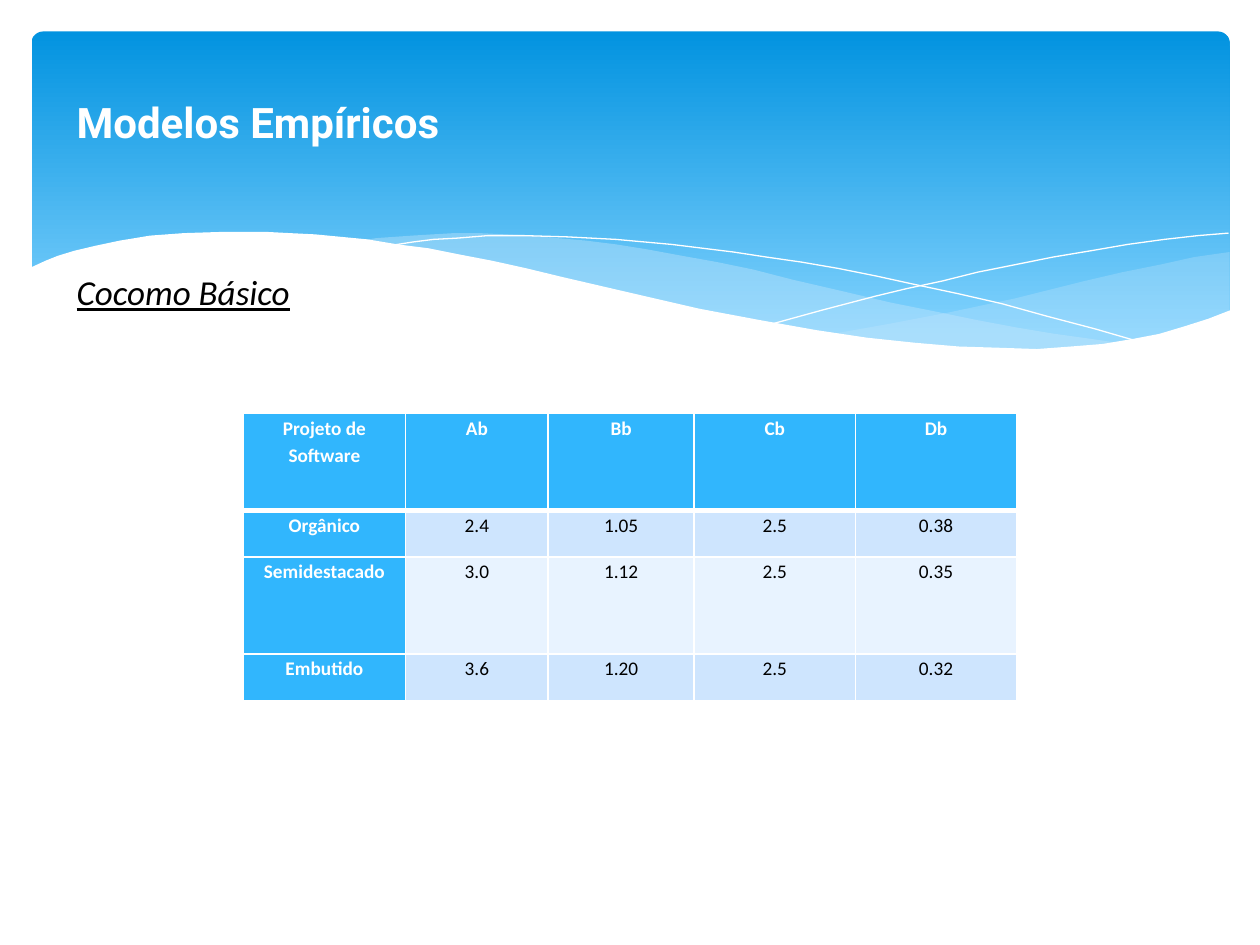
import pptx
import pptx.dml.color
import pptx.enum.shapes
import pptx.enum.text
import pptx.oxml.ns
import pptx.util
from lxml import etree
from pptx.util import Inches, Pt

WHITE, BLACK, SKY = "FFFFFF", "000000", "31B6FD"
PALE, PALER, MIST = "CEE5FE", "E8F3FF", "C6E7FC"

RIGHT_SWELL = [
    (9.76, 2), (9.48, 2.04), (9.21, 2.1), (8.91, 2.16), (8.61, 2.23), (8.05, 2.37),
    (7.53, 2.48), (7.06, 2.57), (6.61, 2.65), (6.91, 2.69), (7.19, 2.72), (7.45, 2.75),
    (7.69, 2.77), (8.03, 2.78), (8.35, 2.77), (8.63, 2.75), (8.89, 2.72), (9.13, 2.67),
    (9.35, 2.62), (9.49, 2.57), (9.63, 2.52), (9.76, 2.47)]
LONG_SWELL = [
    (8.93, 2.73), (8.66, 2.69), (8.37, 2.65), (8.07, 2.6), (7.75, 2.54), (7.41, 2.47),
    (7.06, 2.4), (6.68, 2.31), (6.29, 2.22), (5.98, 2.14), (5.69, 2.08), (5.41, 2.03),
    (5.14, 1.98), (4.89, 1.94), (4.65, 1.91), (4.42, 1.89), (4.2, 1.87), (3.8, 1.85),
    (3.61, 1.85), (3.28, 1.87), (2.99, 1.89), (2.86, 1.91), (3.23, 1.96), (3.62, 2.03),
    (4.04, 2.11), (4.49, 2.22), (4.91, 2.32), (5.3, 2.4), (5.66, 2.48), (6.01, 2.55),
    (6.34, 2.61), (6.65, 2.66), (6.95, 2.7), (7.22, 2.74), (7.48, 2.76), (7.73, 2.77),
    (7.96, 2.78), (8.28, 2.78), (8.57, 2.77), (8.76, 2.75)]
FALLING_LINE = [
    (3.09, 1.95), (3.28, 1.92), (3.44, 1.9), (3.63, 1.89), (3.87, 1.87), (4.16, 1.87),
    (4.5, 1.88), (4.89, 1.9), (5.33, 1.94), (5.82, 2), (6.08, 2.04), (6.36, 2.08),
    (6.65, 2.13), (6.95, 2.19), (7.27, 2.26), (7.6, 2.33), (7.95, 2.41), (8.31, 2.51),
    (8.69, 2.61), (9.07, 2.72)]
RISING_LINE = [
    (6.13, 2.57), (6.53, 2.46), (6.95, 2.35), (7.2, 2.29), (7.48, 2.23), (7.76, 2.16),
    (8.06, 2.1), (8.36, 2.04), (8.66, 1.99), (8.95, 1.94), (9.24, 1.9), (9.51, 1.87),
    (9.75, 1.85)]
WHITE_WAVE = [
    (9.77, 2.46), (9.59, 2.53), (9.4, 2.59), (9.2, 2.65), (8.99, 2.69), (8.75, 2.73),
    (8.5, 2.75), (8.23, 2.77), (7.93, 2.76), (7.61, 2.75), (7.26, 2.72), (6.88, 2.68),
    (6.48, 2.62), (6.03, 2.54), (5.55, 2.45), (5.03, 2.33), (4.47, 2.2), (4.18, 2.13),
    (3.91, 2.07), (3.65, 2.02), (3.4, 1.97), (3.16, 1.94), (2.92, 1.9), (2.71, 1.88),
    (2.5, 1.86), (2.3, 1.85), (2.11, 1.84), (1.77, 1.84), (1.46, 1.85), (1.19, 1.87),
    (0.95, 1.91), (0.76, 1.95), (0.59, 1.99), (0.46, 2.03), (0.36, 2.07), (0.23, 2.13),
    (0.23, 3.29), (9.77, 3.29)]

COLUMNS = [1.29, 1.13, 1.16, 1.28, 1.28]
ROWS = [0.77, 0.37, 0.77, 0.37]
COEFFICIENTS = [
    ["Projeto de Software", "Ab", "Bb", "Cb", "Db"],
    ["Orgânico", "2.4", "1.05", "2.5", "0.38"],
    ["Semidestacado", "3.0", "1.12", "2.5", "0.35"],
    ["Embutido", "3.6", "1.20", "2.5", "0.32"]]


def rgb(color):
    return pptx.dml.color.RGBColor.from_string(color)


def sub(parent, tag, **attrs):
    return etree.SubElement(parent, pptx.oxml.ns.qn(tag), attrs)


def fill_solid(fill, color, alpha=100):
    fill.solid()
    fill.fore_color.rgb = rgb(color)
    if alpha < 100:
        sub(fill.fore_color._xFill[0], "a:alpha", val=str(alpha * 1000))


def add_run(p, text, size, font, color, bold=False, italic=False, underline=False):
    r = p.add_run()
    r.text = text
    r.font.size, r.font.name = Pt(size), font
    r.font.color.rgb = rgb(color)
    r.font.bold, r.font.italic, r.font.underline = bold, italic, underline


def add_outline(slide, left, top, points, closed):
    """Draw points given in inches from the corner at left, top."""
    points = [(Inches(left + x), Inches(top + y)) for x, y in points]
    builder = slide.shapes.build_freeform(*points[0])
    builder.add_line_segments(points[1:], close=closed)
    sp = builder.convert_to_shape()
    sp.shadow.inherit = False
    return sp


def add_wave(slide, left, top, points, color, alpha=100):
    sp = add_outline(slide, left, top, points, True)
    fill_solid(sp.fill, color, alpha)
    sp.line.fill.background()


def add_wave_line(slide, left, top, points):
    sp = add_outline(slide, left, top, points, False)
    sp.fill.background()
    sp.line.color.rgb = rgb(WHITE)
    sp.line.width = Pt(0)


def add_header(slide, left, top):
    sp = slide.shapes.add_shape(
        pptx.enum.shapes.MSO_SHAPE.ROUNDED_RECTANGLE,
        Inches(left + 0.25), Inches(top + 0.25), Inches(9.51), Inches(2.7))
    sp.adjustments[0] = 0.034
    sp.shadow.inherit = False
    sp.line.fill.background()
    sp.fill.gradient()
    sp.fill.gradient_angle = 270
    stops = [(0, "0293E0"), (0.9, "83D3FE")]
    for stop, (position, color) in zip(sp.fill.gradient_stops, stops):
        stop.position = position
        stop.color.rgb = rgb(color)
    add_wave(slide, left, top, RIGHT_SWELL, MIST, 29)
    add_wave(slide, left, top, LONG_SWELL, MIST, 40)
    add_wave_line(slide, left, top, FALLING_LINE)
    add_wave_line(slide, left, top, RISING_LINE)
    add_wave(slide, left, top, WHITE_WAVE, WHITE)


def add_label(slide, left, top, width, height, text, size, font, color, **style):
    box = slide.shapes.add_textbox(
        Inches(left), Inches(top), Inches(width), Inches(height))
    tf = box.text_frame
    tf.word_wrap = False
    tf.auto_size = pptx.enum.text.MSO_AUTO_SIZE.SHAPE_TO_FIT_TEXT
    add_run(tf.paragraphs[0], text, size, font, color, **style)


def set_borders(cell, top, bottom):
    tc_pr = cell._tc.get_or_add_tcPr()
    for side, width in (("L", 1), ("R", 1), ("T", top), ("B", bottom)):
        line = sub(tc_pr, f"a:ln{side}", w=str(Pt(width)))
        sub(sub(line, "a:solidFill"), "a:srgbClr", val=WHITE)


def add_coefficients(slide, left, top):
    table = slide.shapes.add_table(
        len(ROWS), len(COLUMNS), Inches(left), Inches(top),
        Inches(sum(COLUMNS)), Inches(sum(ROWS))).table
    table.horz_banding = False
    for column, width in zip(table.columns, COLUMNS):
        column.width = Inches(width)
    for i, (height, texts) in enumerate(zip(ROWS, COEFFICIENTS)):
        table.rows[i].height = Inches(height)
        for j, text in enumerate(texts):
            cell = table.cell(i, j)
            heading = i == 0 or j == 0
            cell.margin_left = cell.margin_right = Inches(0.07)
            cell.margin_top = cell.margin_bottom = 0
            set_borders(cell, 3 if i == 1 else 1, 3 if i == 0 else 1)
            fill_solid(cell.fill, SKY if heading else PALE if i % 2 else PALER)
            p = cell.text_frame.paragraphs[0]
            p.alignment = pptx.enum.text.PP_ALIGN.CENTER
            p.line_spacing = 1.15
            p.space_after = Pt(10)
            add_run(p, text, 11, "Calibri", WHITE if heading else BLACK, bold=heading)


def main():
    prs = pptx.Presentation()
    prs.slide_width, prs.slide_height = Inches(10), Inches(7.5)
    slide = prs.slides.add_slide(prs.slide_layouts[6])
    add_header(slide, 0, 0)
    add_coefficients(slide, 1.93, 3.28)
    add_label(slide, 0.51, 2.1, 1.92, 0.44, "Cocomo Básico", 20, "Calibri", BLACK,
              italic=True, underline=True)
    add_label(slide, 0.51, 0.72, 3.47, 0.5, "Modelos Empíricos", 24, "Roboto", WHITE,
              bold=True)
    prs.save("out.pptx")


if __name__ == "__main__":
    main()
